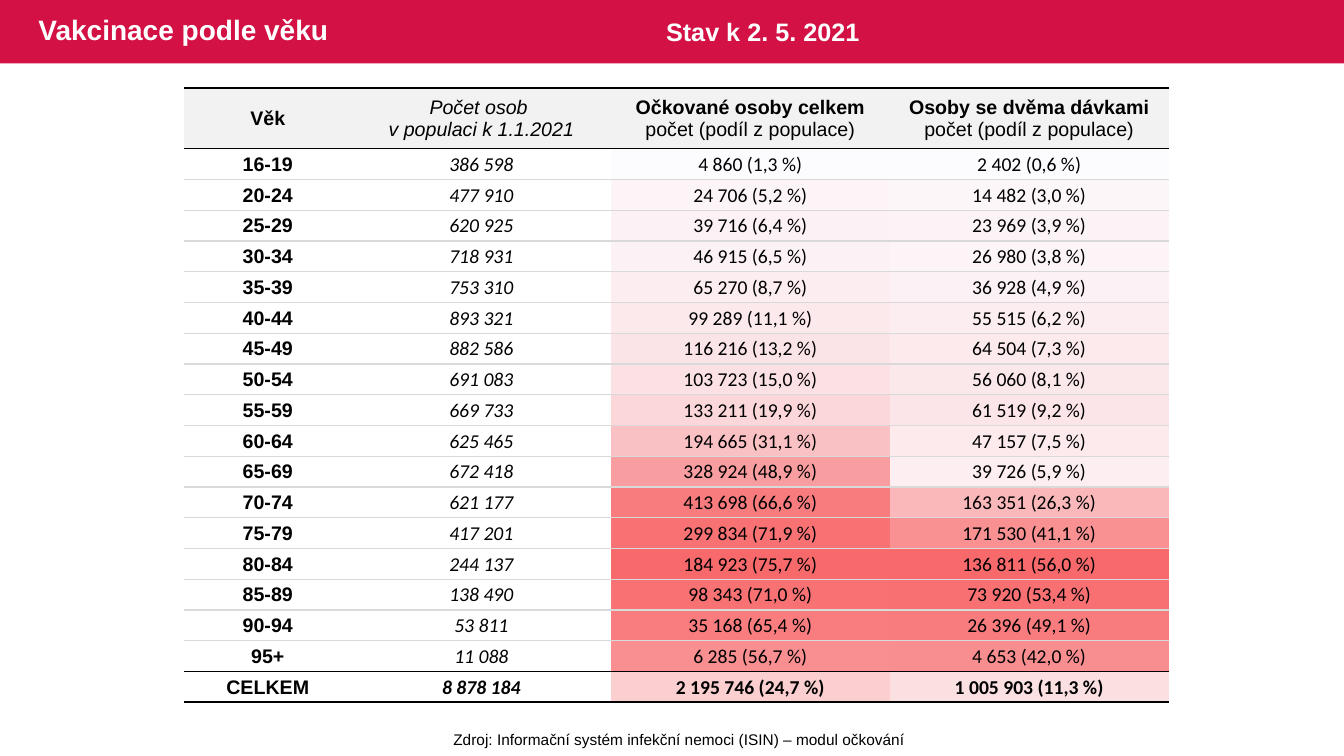
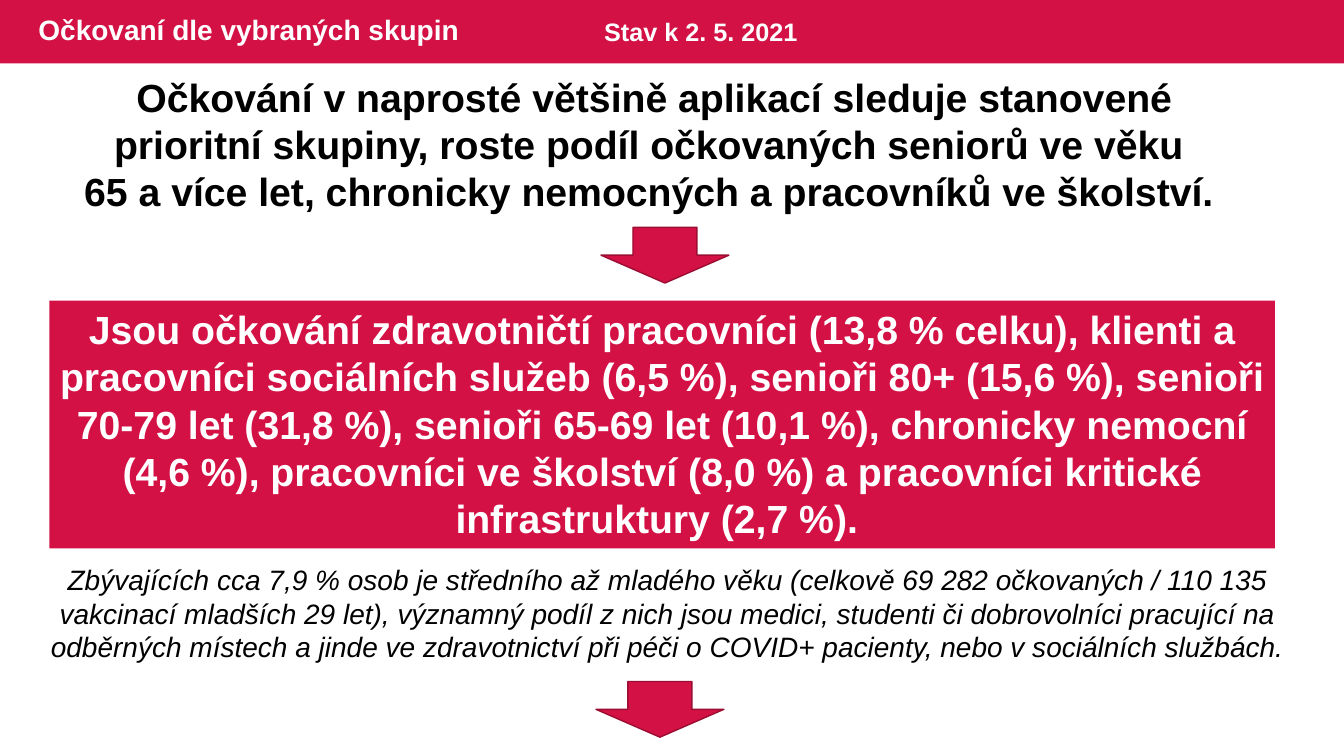
from dataclasses import dataclass

from lxml.etree import SubElement
from pptx import Presentation
from pptx.dml.color import RGBColor
from pptx.enum.shapes import MSO_SHAPE
from pptx.enum.text import MSO_ANCHOR, PP_ALIGN
from pptx.oxml import parse_xml
from pptx.oxml.ns import nsdecls, qn
from pptx.util import Pt


@dataclass(frozen=True)
class Theme:
    red: str = "D31145"
    dark_red: str = "9C0D33"
    white: str = "FFFFFF"
    black: str = "000000"
    header_gray: str = "F2F2F2"
    rule_gray: str = "D9D9D9"
    scale_low: tuple = (252, 252, 255)
    scale_high: tuple = (248, 105, 107)
    font: str = "Arial"
    number_font: str = "Calibri"
    statement_size: int = 28
    title_size: int = 20
    status_size: int = 18
    table_size: int = 14
    source_size: int = 11


THEME = Theme()
SLIDE_SIZE = (960, 540)
BAND_HEIGHT = 45.2
NO_STYLE = "{2D5ABB26-0587-4C30-8999-92F81FD0307C}"

STATUS = "Stav k 2. 5. 2021"
AGE_TITLE = "Vakcinace podle věku"
SOURCE = "Zdroj: Informační systém infekční nemoci (ISIN) – modul očkování"
SHARE_NOTE = "počet (podíl z populace)"
HEADERS = [
    [("Věk", "bold")],
    [("Počet osob ", "italic"), ("v populaci k 1.1.2021", "italic")],
    [("Očkované osoby celkem", "bold"), (SHARE_NOTE, "")],
    [("Osoby se dvěma dávkami", "bold"), (SHARE_NOTE, "")],
]
AGE_ROWS = [
    ("16-19", 386598, (4860, 1.3), (2402, 0.6)),
    ("20-24", 477910, (24706, 5.2), (14482, 3.0)),
    ("25-29", 620925, (39716, 6.4), (23969, 3.9)),
    ("30-34", 718931, (46915, 6.5), (26980, 3.8)),
    ("35-39", 753310, (65270, 8.7), (36928, 4.9)),
    ("40-44", 893321, (99289, 11.1), (55515, 6.2)),
    ("45-49", 882586, (116216, 13.2), (64504, 7.3)),
    ("50-54", 691083, (103723, 15.0), (56060, 8.1)),
    ("55-59", 669733, (133211, 19.9), (61519, 9.2)),
    ("60-64", 625465, (194665, 31.1), (47157, 7.5)),
    ("65-69", 672418, (328924, 48.9), (39726, 5.9)),
    ("70-74", 621177, (413698, 66.6), (163351, 26.3)),
    ("75-79", 417201, (299834, 71.9), (171530, 41.1)),
    ("80-84", 244137, (184923, 75.7), (136811, 56.0)),
    ("85-89", 138490, (98343, 71.0), (73920, 53.4)),
    ("90-94", 53811, (35168, 65.4), (26396, 49.1)),
    ("95+", 11088, (6285, 56.7), (4653, 42.0)),
    ("CELKEM", 8878184, (2195746, 24.7), (1005903, 11.3)),
]
TABLE_LEFT, TABLE_TOP = 131.2, 62.8
COLUMN_WIDTHS = (120.2, 185, 199.2, 199.2)
HEADER_HEIGHT, ROW_HEIGHT = 43.4, 21.98

GROUPS_TITLE = "Očkovaní dle vybraných skupin"
STATEMENT = [
    "Očkování v naprosté většině aplikací sleduje stanovené prioritní skupiny, "
    "roste podíl očkovaných seniorů ve věku ",
    "65 a více let, chronicky nemocných a pracovníků ve školství. ",
]
GROUPS = [
    "Jsou očkování zdravotničtí pracovníci (13,8 % celku), klienti a pracovníci "
    "sociálních služeb (6,5 %), senioři 80+ (15,6 %), senioři 70-79 let (31,8 %), "
    "senioři 65-69 let (10,1 %), chronicky nemocní (4,6 %), pracovníci ve školství "
    "(8,0 %) a pracovníci kritické infrastruktury (2,7 %). ",
]
REMAINDER = [
    "Zbývajících cca 7,9 % osob je středního až mladého věku (celkově 69 282 "
    "očkovaných / 110 135 vakcinací mladších 29 let), významný podíl z nich jsou "
    "medici, studenti či dobrovolníci pracující na odběrných místech a jinde ve "
    "zdravotnictví při péči o COVID+ pacienty, nebo v sociálních službách.",
]
ARROW_SIZE = (91.4, 39.8)
ARROW_PLACES = [(429.3, 162.4), (425.7, 486.8)]


def rgb(color):
    return RGBColor.from_string(color)


def points(*lengths):
    return [Pt(length) for length in lengths]


def write(frame, lines, size, color=THEME.black, font=THEME.font, align=PP_ALIGN.CENTER):
    for index, (text, style) in enumerate(lines):
        para = frame.paragraphs[0] if index == 0 else frame.add_paragraph()
        para.alignment = align
        span = para.add_run()
        span.text = text
        span.font.name = font
        span.font.size = Pt(size)
        span.font.bold = "bold" in style
        span.font.italic = "italic" in style
        span.font.color.rgb = rgb(color)


def add_text(page, place, texts, size, style="", wrap=True, **look):
    frame = page.shapes.add_textbox(*points(*place)).text_frame
    frame.word_wrap = wrap
    write(frame, [(text, style) for text in texts], size, **look)


def add_box(page, kind, place, line=None):
    box = page.shapes.add_shape(kind, *points(*place))
    box.shadow.inherit = False
    box.fill.solid()
    box.fill.fore_color.rgb = rgb(THEME.red)
    if line:
        box.line.color.rgb = rgb(line)
        box.line.width = Pt(1)
    else:
        box.line.fill.background()
    return box


def add_page(deck, title, status_left):
    page = deck.slides.add_slide(deck.slide_layouts[5])
    band = add_box(page, MSO_SHAPE.RECTANGLE, (0, 0, SLIDE_SIZE[0], BAND_HEIGHT))
    page.shapes.element.insert(2, band.element)
    heading = page.shapes.title
    heading.left, heading.top, heading.width, heading.height = points(20.2, 0, 585.4, BAND_HEIGHT)
    heading.text_frame.vertical_anchor = MSO_ANCHOR.MIDDLE
    write(heading.text_frame, [(title, "bold")], THEME.title_size, THEME.white, align=PP_ALIGN.LEFT)
    heading.text_frame.paragraphs[0].line_spacing = 0.9
    add_text(page, (status_left, 8, 213, 29), [STATUS], THEME.status_size, "bold",
             color=THEME.white, align=PP_ALIGN.LEFT)
    return page


def add_plain_table(page, left, top, widths, heights):
    place = points(left, top, sum(widths), sum(heights))
    table = page.shapes.add_table(len(heights), len(widths), *place).table
    table.first_row = table.horz_banding = False
    properties = table._tbl.tblPr
    style = properties.find(qn("a:tableStyleId"))
    if style is None:
        style = SubElement(properties, qn("a:tableStyleId"))
    style.text = NO_STYLE
    for column, width in zip(table.columns, widths):
        column.width = Pt(width)
    for row, height in zip(table.rows, heights):
        row.height = Pt(height)
    for cell in table.iter_cells():
        cell.vertical_anchor = MSO_ANCHOR.MIDDLE
        cell.margin_left = cell.margin_right = cell.margin_top = Pt(0.72)
        cell.margin_bottom = 0
        cell.fill.background()
    return table


def paint(cell, color):
    cell.fill.solid()
    cell.fill.fore_color.rgb = rgb(color)


def border(tag, color, width):
    return parse_xml(
        f'<a:{tag} {nsdecls("a")} w="{Pt(width)}"><a:solidFill>'
        f'<a:srgbClr val="{color}"/></a:solidFill></a:{tag}>'
    )


def rule(edge, last_edge):
    if edge in (0, last_edge):
        return THEME.black, 1.5
    if edge in (1, last_edge - 1):
        return THEME.black, 1
    return THEME.rule_gray, 1


def scale_color(share, shares):
    ratio = (share - min(shares)) / (max(shares) - min(shares))
    channels = zip(THEME.scale_low, THEME.scale_high)
    return "".join(f"{round(low + (high - low) * ratio):02X}" for low, high in channels)


def grouped(number):
    return f"{number:,}".replace(",", " ")


def body_cells(row):
    age, population, *doses = row
    weight = "bold" if row is AGE_ROWS[-1] else ""
    yield [(age, "bold")], THEME.font
    yield [(grouped(population), weight + "italic")], THEME.number_font
    for count, share in doses:
        percent = f"{share:.1f}".replace(".", ",")
        yield [(f"{grouped(count)} ({percent} %)", weight)], THEME.number_font


def add_shading_table(page):
    left = TABLE_LEFT + sum(COLUMN_WIDTHS[:2])
    heights = [ROW_HEIGHT] * len(AGE_ROWS)
    table = add_plain_table(page, left, TABLE_TOP + HEADER_HEIGHT, COLUMN_WIDTHS[2:], heights)
    for column_index in range(2):
        shares = [row[2 + column_index][1] for row in AGE_ROWS]
        for row_index, share in enumerate(shares):
            cell = table.cell(row_index, column_index)
            paint(cell, scale_color(share, shares))
            para = cell.text_frame.paragraphs[0]
            SubElement(para._p, qn("a:endParaRPr"), sz=str(THEME.table_size * 100))


def add_age_table(page):
    grid = [[(lines, THEME.font) for lines in HEADERS]]
    grid += [list(body_cells(row)) for row in AGE_ROWS]
    heights = [HEADER_HEIGHT] + [ROW_HEIGHT] * len(AGE_ROWS)
    table = add_plain_table(page, TABLE_LEFT, TABLE_TOP, COLUMN_WIDTHS, heights)
    for row_index, cells in enumerate(grid):
        for column_index, (lines, font) in enumerate(cells):
            cell = table.cell(row_index, column_index)
            write(cell.text_frame, lines, THEME.table_size, font=font)
            if row_index == 0:
                paint(cell, THEME.header_gray)
            for offset, tag in enumerate(("lnT", "lnB")):
                line = border(tag, *rule(row_index + offset, len(grid)))
                cell._tc.tcPr.insert(offset, line)


def build_age_page(deck):
    page = add_page(deck, AGE_TITLE, 468.7)
    add_shading_table(page)
    add_text(page, (316, 517.7, 338.4, 20.6), [SOURCE], THEME.source_size, wrap=False)
    add_age_table(page)


def build_groups_page(deck):
    page = add_page(deck, GROUPS_TITLE, 424.5)
    add_text(page, (50.4, 49, 833.8, 109), STATEMENT, THEME.statement_size, "bold")
    panel = add_box(page, MSO_SHAPE.RECTANGLE, (35.3, 214.8, 875.3, 176.9))
    panel.text_frame.word_wrap = True
    panel.text_frame.vertical_anchor = MSO_ANCHOR.TOP
    write(panel.text_frame, [(text, "bold") for text in GROUPS], THEME.statement_size, THEME.white)
    add_text(page, (28.5, 398.2, 897, 80), REMAINDER, THEME.title_size, "italic")
    for place in ARROW_PLACES:
        add_box(page, MSO_SHAPE.DOWN_ARROW, place + ARROW_SIZE, THEME.dark_red)


def main():
    deck = Presentation()
    deck.slide_width, deck.slide_height = points(*SLIDE_SIZE)
    build_age_page(deck)
    build_groups_page(deck)
    deck.save("out.pptx")


if __name__ == "__main__":
    main()
